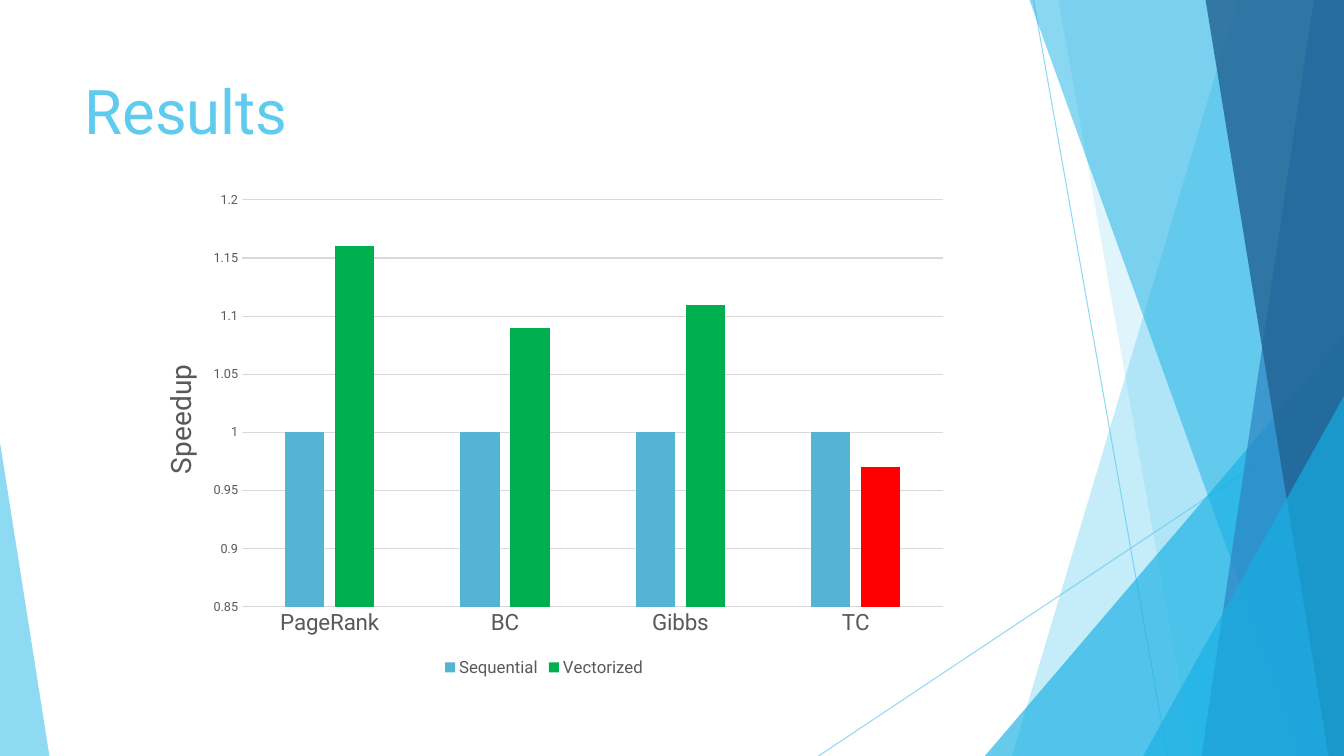
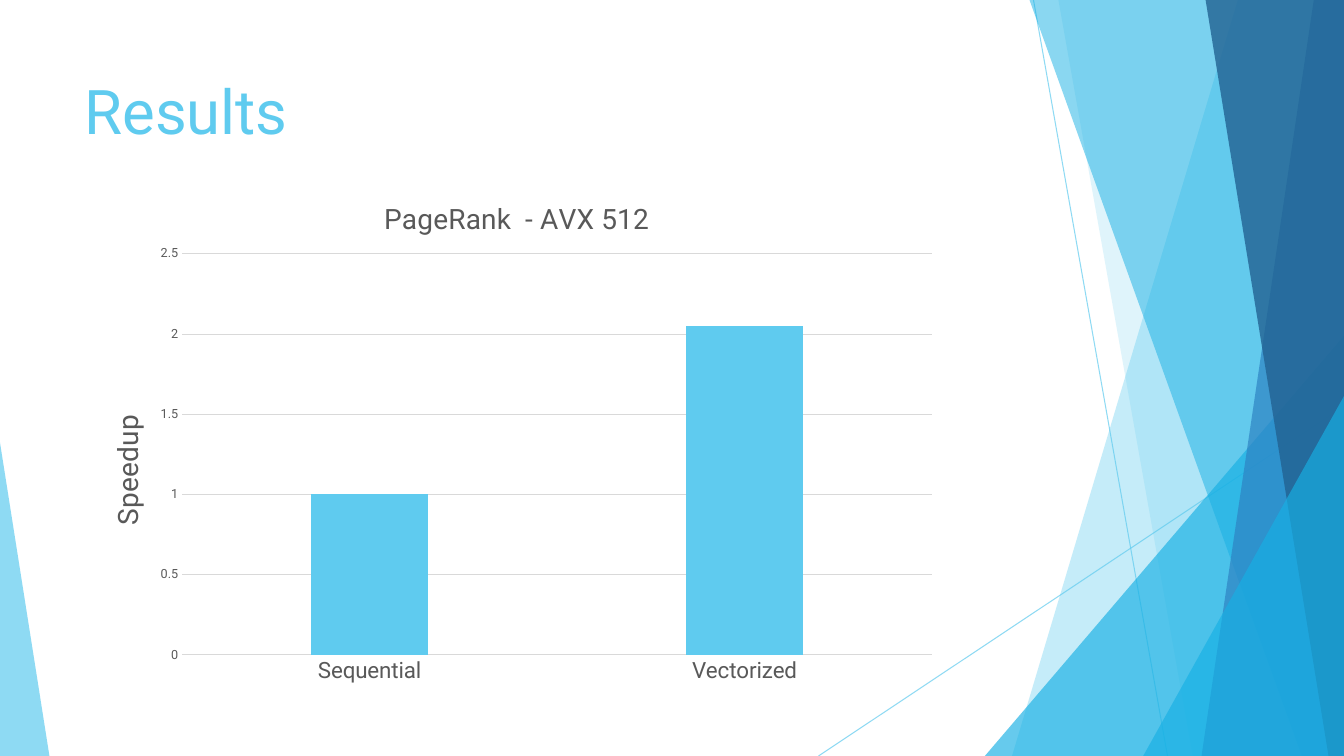
from dataclasses import dataclass

from lxml.etree import SubElement
from pptx import Presentation
from pptx.chart.data import CategoryChartData
from pptx.dml.color import RGBColor
from pptx.enum.chart import XL_CHART_TYPE, XL_LEGEND_POSITION, XL_TICK_MARK
from pptx.enum.shapes import MSO_CONNECTOR, MSO_SHAPE
from pptx.enum.text import MSO_ANCHOR
from pptx.oxml.ns import qn
from pptx.util import Inches, Pt


@dataclass(frozen=True)
class Theme:
    """Colours, font and type sizes of the whole deck."""
    font: str = "Roboto"
    sky: str = "5FCBEF"
    cyan: str = "17B0E4"
    blue: str = "2E83C3"
    navy: str = "226292"
    muted: str = "54B4D4"
    gain: str = "00B050"
    loss: str = "FF0000"
    label: str = "595959"
    grid: str = "D9D9D9"
    title_size: int = 44
    chart_title_size: int = 20
    category_size: int = 16
    legend_size: int = 12
    base_size: int = 10
    value_size: int = 9
    hairline: float = 0.75


THEME = Theme()
WIDTH, HEIGHT = Inches(13.33), Inches(7.5)

# Places on the slide are percentages of its width and height.
TITLE_BOX = (5.55, 8.93, 70.5, 19.2)
RAYS = [(76.9, 0, 86.87, 100), (100, 53.73, 60.9, 100)]
RAY_OPACITY = 70
# Blade: top x, bottom x; it reaches to the right edge of the slide.
# Peak: left, top, width, apex share; it stands on the bottom edge.
FACETS = [
    ("blade", (92.1, 75.3), THEME.sky, 36),
    ("blade", (78.75, 88.75), THEME.sky, 20),
    ("peak", (73.28, 44.4, 26.72, 1), THEME.cyan, 66),
    ("blade", (76.6, 96.85), THEME.cyan, 50),
    ("blade", (97.75, 89.4), THEME.blue, 70),
    ("blade", (89.7, 98.85), THEME.navy, 80),
    ("peak", (85.06, 52.4, 14.94, 1), THEME.cyan, 66),
    ("peak", (0, 58.53, 3.68, 0), THEME.sky, 70),
]

# Places inside a chart (plot, titles) are percentages of the chart frame.
SLIDES = [
    {
        "title": "Results",
        "box": (9.53, 24.13, 61.9, 66),
        "plot": (13.7, 3.5, 84.3, 81.6),
        "categories": ["PageRank", "BC", "Gibbs", "TC"],
        "series": [
            ("Sequential", [1, 1, 1, 1], THEME.muted, {}),
            ("Vectorized", [1.16, 1.09, 1.11, 0.97], THEME.gain, {3: THEME.loss}),
        ],
        "scale": (0.85, 1.2, 0.05),
        "axis_title": ("Speedup", (3.4, 35.4)),
        "legend": True,
    },
    {
        "title": "Results",
        "box": (5.55, 22.53, 65.1, 69.47),
        "plot": (12.3, 15.9, 85.7, 76.4),
        "categories": ["Sequential", "Vectorized"],
        "series": [("Series 1", [1, 2.05], THEME.sky, {})],
        "scale": (0, 2.5, 0.5),
        "axis_title": ("Speedup", (3.3, 45.6)),
        "chart_title": ("PageRank  - AVX 512", (34.8, 4.7)),
    },
]
GAP_WIDTH, OVERLAP = 219, -27


def across(percent):
    """Turn a share of the slide width into a length."""
    return round(WIDTH * percent / 100)


def down(percent):
    """Turn a share of the slide height into a length."""
    return round(HEIGHT * percent / 100)


def frame(box):
    """Turn left, top, width, height shares into lengths."""
    left, top, width, height = box
    return across(left), down(top), across(width), down(height)


def style_font(font, size, color):
    """Apply the deck font with a size and a colour."""
    font.name, font.size, font.bold = THEME.font, Pt(size), False
    font.color.rgb = RGBColor.from_string(color)


def style_line(line, color):
    """Draw a hairline in one colour."""
    line.width = Pt(THEME.hairline)
    line.color.rgb = RGBColor.from_string(color)


def style_fill(fill, color):
    """Fill with one solid colour."""
    fill.solid()
    fill.fore_color.rgb = RGBColor.from_string(color)


def set_opacity(shape, percent):
    """Give every colour of a shape an opacity."""
    for color in shape.element.spPr.iter(qn("a:srgbClr")):
        SubElement(color, qn("a:alpha")).set("val", str(percent * 1000))


def add_ray(slide, start_x, start_y, end_x, end_y):
    """Draw one thin line of the backdrop."""
    ray = slide.shapes.add_connector(
        MSO_CONNECTOR.STRAIGHT, across(start_x), down(start_y), across(end_x), down(end_y))
    style_line(ray.line, THEME.sky)
    set_opacity(ray, RAY_OPACITY)
    SubElement(ray.element.spPr, qn("a:effectLst"))


def add_blade(slide, top_x, bottom_x):
    """Outline a full-height facet that ends at the right edge."""
    outline = slide.shapes.build_freeform(across(top_x), 0)
    outline.add_line_segments([(WIDTH, 0), (WIDTH, HEIGHT), (across(bottom_x), HEIGHT)])
    return outline.convert_to_shape()


def add_peak(slide, left, top, width, apex):
    """Add a triangle that stands on the bottom edge."""
    peak = slide.shapes.add_shape(
        MSO_SHAPE.ISOSCELES_TRIANGLE, *frame((left, top, width, 100 - top)))
    peak.adjustments[0] = apex
    return peak


def add_backdrop(slide):
    """Draw the rays and the translucent facets."""
    for ray in RAYS:
        add_ray(slide, *ray)
    builders = {"blade": add_blade, "peak": add_peak}
    for kind, geometry, color, opacity in FACETS:
        facet = builders[kind](slide, *geometry)
        facet.shadow.inherit = False
        facet.line.fill.background()
        style_fill(facet.fill, color)
        set_opacity(facet, opacity)


def add_title(slide, text):
    """Add the slide title."""
    text_frame = slide.shapes.add_textbox(*frame(TITLE_BOX)).text_frame
    text_frame.word_wrap = True
    text_frame.vertical_anchor = MSO_ANCHOR.TOP
    run = text_frame.paragraphs[0].add_run()
    run.text = text
    style_font(run.font, THEME.title_size, THEME.sky)


def place(element, index, shares, inner=False):
    """Fix a chart part at shares of the chart frame."""
    for layout in element.findall(qn("c:layout")):
        element.remove(layout)
    layout = SubElement(element, qn("c:layout"))
    element.insert(index, layout)
    manual = SubElement(layout, qn("c:manualLayout"))
    settings = [("layoutTarget", "inner")] if inner else []
    settings += [("xMode", "edge"), ("yMode", "edge")]
    settings += [(name, str(share / 100)) for name, share in zip("xywh", shares)]
    for name, value in settings:
        SubElement(manual, qn(f"c:{name}")).set("val", value)


def write_chart_title(title, text, position):
    """Write a chart or axis title at its place."""
    run = title.text_frame.paragraphs[0].add_run()
    run.text = text
    style_font(run.font, THEME.chart_title_size, THEME.label)
    place(title.element, 1, position)


def style_axes(chart, content):
    """Set scale, labels, lines and title of both axes."""
    category_axis, value_axis = chart.category_axis, chart.value_axis
    for axis, size in ((category_axis, THEME.category_size), (value_axis, THEME.value_size)):
        axis.major_tick_mark = axis.minor_tick_mark = XL_TICK_MARK.NONE
        style_font(axis.tick_labels.font, size, THEME.label)
    style_line(category_axis.format.line, THEME.grid)
    value_axis.format.line.fill.background()
    style_line(value_axis.major_gridlines.format.line, THEME.grid)
    value_axis.minimum_scale, value_axis.maximum_scale, value_axis.major_unit = content["scale"]
    write_chart_title(value_axis.axis_title, *content["axis_title"])
    body = value_axis.axis_title.element.find(f".//{qn('a:bodyPr')}")
    body.set("rot", "-5400000")
    body.set("vert", "horz")


def add_column_chart(slide, content):
    """Add the clustered column chart of one slide."""
    data = CategoryChartData()
    data.categories = content["categories"]
    for name, values, _, _ in content["series"]:
        data.add_series(name, values)
    chart = slide.shapes.add_chart(
        XL_CHART_TYPE.COLUMN_CLUSTERED, *frame(content["box"]), data).chart
    style_font(chart.font, THEME.base_size, "000000")

    plot = chart.plots[0]
    plot.gap_width, plot.overlap, plot.vary_by_categories = GAP_WIDTH, OVERLAP, False
    for series, (_, _, color, highlights) in zip(plot.series, content["series"]):
        style_fill(series.format.fill, color)
        series.invert_if_negative = False
        for index, highlight in highlights.items():
            style_fill(series.points[index].format.fill, highlight)

    style_axes(chart, content)
    place(chart.element.find(f".//{qn('c:plotArea')}"), 0, content["plot"], inner=True)
    chart.has_title = "chart_title" in content
    if chart.has_title:
        write_chart_title(chart.chart_title, *content["chart_title"])
    chart.has_legend = content.get("legend", False)
    if chart.has_legend:
        chart.legend.position = XL_LEGEND_POSITION.BOTTOM
        chart.legend.include_in_layout = False
        style_font(chart.legend.font, THEME.legend_size, THEME.label)


def main():
    """Build and save the deck."""
    presentation = Presentation()
    presentation.slide_width, presentation.slide_height = WIDTH, HEIGHT
    blank_layout = presentation.slide_layouts[6]
    for content in SLIDES:
        slide = presentation.slides.add_slide(blank_layout)
        add_backdrop(slide)
        add_title(slide, content["title"])
        add_column_chart(slide, content)
    presentation.save("out.pptx")


main()
